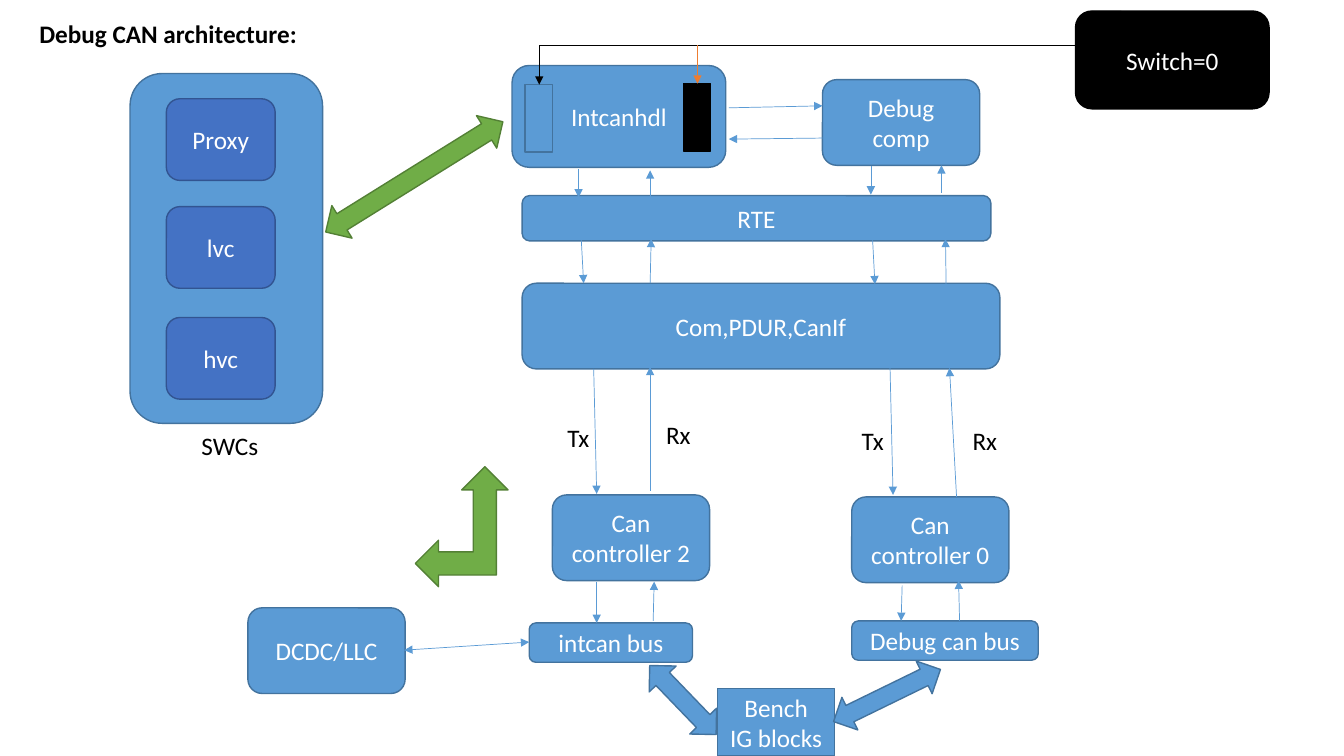
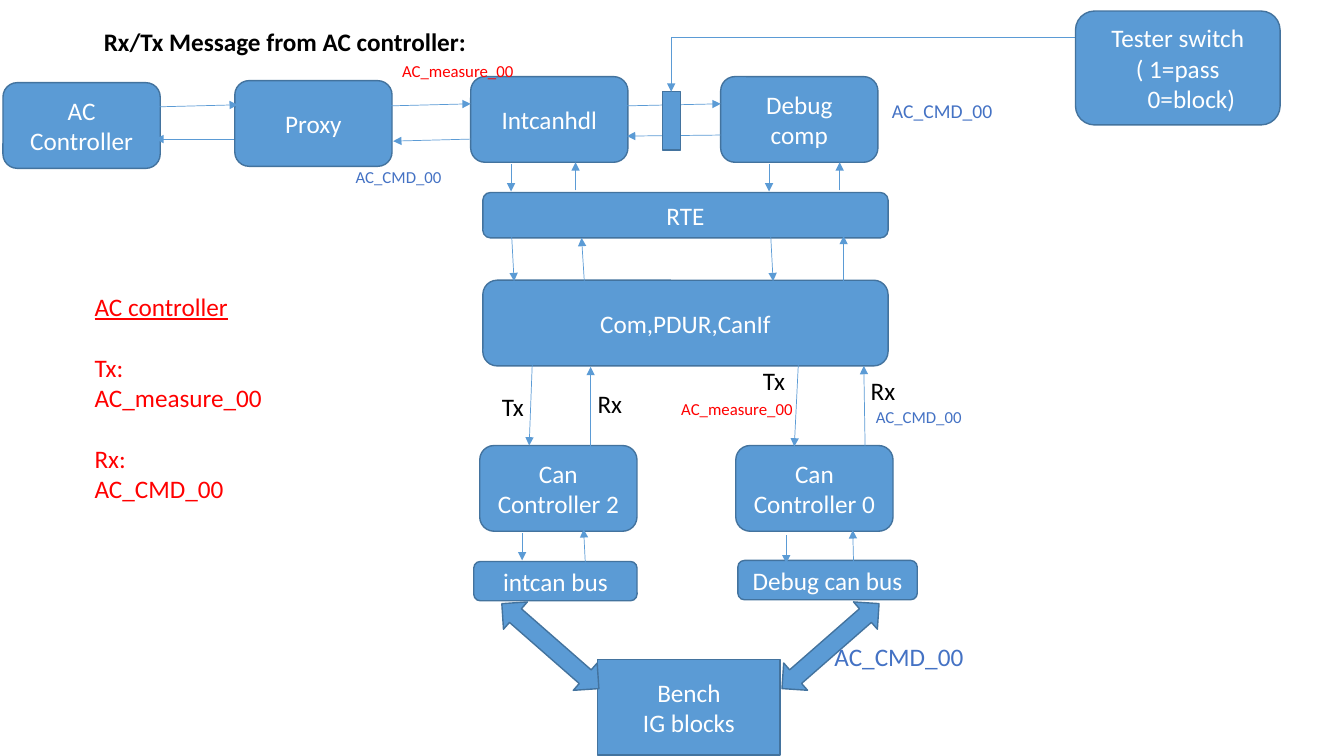
from pptx import Presentation
from pptx.dml.color import RGBColor
from pptx.enum.shapes import MSO_CONNECTOR, MSO_SHAPE
from pptx.enum.text import MSO_ANCHOR, MSO_AUTO_SIZE, PP_ALIGN
from pptx.oxml.ns import qn
from pptx.util import Emu, Pt
from lxml import etree

ROUNDED, RECTANGLE = MSO_SHAPE.ROUNDED_RECTANGLE, MSO_SHAPE.RECTANGLE
LEFT_RIGHT, UP_DOWN = MSO_SHAPE.LEFT_RIGHT_ARROW, MSO_SHAPE.UP_DOWN_ARROW
LEFT_UP = MSO_SHAPE.LEFT_UP_ARROW
STRAIGHT, ELBOW = MSO_CONNECTOR.STRAIGHT, MSO_CONNECTOR.ELBOW
LEFT, CENTER = PP_ALIGN.LEFT, PP_ALIGN.CENTER
TOP, MIDDLE = MSO_ANCHOR.TOP, MSO_ANCHOR.MIDDLE

FONT = "Calibri"
BODY_SIZE, NOTE_SIZE, SMALL_SIZE = 18, 14, 12
BLACK, WHITE, RED, ORANGE = "000000", "FFFFFF", "FF0000", "ED7D31"
SKY, ROYAL = "5B9BD5", "4472C4"
# Each style is a fill and its outline.
SKY_STYLE, ROYAL_STYLE = (SKY, "43739E"), (ROYAL, "325491")
GREEN_STYLE, BLACK_STYLE = ("70AD47", "538035"), (BLACK, BLACK)

# The slide is a grid of square cells, ten to the inch: 75 rows high.
SLIDE_WIDTH, SLIDE_HEIGHT = Emu(12192000), Emu(6858000)
CELL = SLIDE_HEIGHT / 75
BLOCK_WIDTH, BLOCK_HEIGHT = 15.6, 8.5
RTE_HEIGHT, BUS_HEIGHT, LABEL_HEIGHT = 4.5, 3.9, 4
INTCAN_BUS_WIDTH = 16.2
BENCH_TEXT = "Bench\nIG blocks"


def cells(*counts):
    return [Emu(round(count * CELL)) for count in counts]


def color(hex_string):
    return RGBColor.from_string(hex_string)


def add_span(para, text, ink, size=BODY_SIZE, bold=False, underline=False):
    span = para.add_run()
    span.text = text
    font = span.font
    font.name, font.size, font.bold = FONT, Pt(size), bold
    font.underline = underline
    font.color.rgb = color(ink)


def add_paragraphs(frame, lines, ink, size=BODY_SIZE, align=LEFT):
    for number, line in enumerate(lines):
        para = frame.add_paragraph() if number else frame.paragraphs[0]
        para.alignment = align
        add_span(para, line, ink, size)


def add_title(page, text, left, top):
    title = page.shapes.title
    title.left, title.top, title.width, title.height = cells(
        left, top, 43.4, LABEL_HEIGHT)
    frame = title.text_frame
    frame.word_wrap, frame.auto_size = True, MSO_AUTO_SIZE.NONE
    frame.vertical_anchor = TOP
    para = frame.paragraphs[0]
    para.alignment = LEFT
    add_span(para, text, BLACK, bold=True)


def add_box(page, area, text="", style=SKY_STYLE, kind=ROUNDED, turn=0):
    box = page.shapes.add_shape(kind, *cells(*area))
    box.shadow.inherit = False
    box.rotation = turn
    fill, outline = style
    box.fill.solid()
    box.fill.fore_color.rgb = color(fill)
    box.line.color.rgb = color(outline)
    box.line.width = Pt(1)
    if text:
        box.text_frame.word_wrap = True
        box.text_frame.vertical_anchor = MIDDLE
        add_paragraphs(box.text_frame, text.split("\n"), WHITE, align=CENTER)
    return box


def add_blocks(page, blocks):
    """Add boxes of the standard size from (text, left, top)."""
    for text, left, top in blocks:
        add_box(page, (left, top, BLOCK_WIDTH, BLOCK_HEIGHT), text)


def add_label(page, text, left, top, width, ink=BLACK, size=BODY_SIZE):
    label = page.shapes.add_textbox(*cells(left, top, width, LABEL_HEIGHT))
    label.text_frame.word_wrap = size > SMALL_SIZE
    add_paragraphs(label.text_frame, [text], ink, size)


def add_arrow(page, ends, ink=SKY, kind=STRAIGHT, both_ways=False):
    """Add a thin arrow; an elbow goes across first, then down."""
    arrow = page.shapes.add_connector(kind, *cells(*ends))
    arrow.line.color.rgb = color(ink)
    arrow.line.width = Pt(0.5)
    properties = arrow._element.spPr
    if kind == ELBOW:
        properties.find(qn("a:prstGeom")).set("prst", "bentConnector2")
    line = properties.find(qn("a:ln"))
    for name in ("a:headEnd", "a:tailEnd")[0 if both_ways else 1:]:
        etree.SubElement(line, qn(name), type="triangle")
    etree.SubElement(properties, qn("a:effectLst"))


def add_arrows(page, arrows):
    for ends in arrows:
        add_arrow(page, ends)


def add_message_list(page):
    box = page.shapes.add_textbox(*cells(8.4, 28.4, 19.4, 22.2))
    frame = box.text_frame
    frame.word_wrap = True
    heading = frame.paragraphs[0]
    add_span(heading, "AC controller", RED, underline=True)
    for direction, message in (("Tx:", "AC_measure_00"), ("Rx:", "AC_CMD_00")):
        para = frame.add_paragraph()
        para.space_before = Pt(22)
        add_span(para, direction, RED)
        add_span(frame.add_paragraph(), message, RED)


def build_architecture(page):
    add_title(page, "Debug CAN architecture:", 2.9, 1.3)
    add_box(page, (12.9, 7.3, 19.1, 34.7))
    for name, top in (("Proxy", 9.8), ("lvc", 20.5), ("hvc", 31.5)):
        add_box(page, (16.5, top, 10.8, 8.1), name, ROYAL_STYLE)
    add_box(page, (50.8, 6.5, 21.2, 10.1), "Intcanhdl")
    add_blocks(page, [
        ("Can controller 2", 54.8, 49.1), ("Can controller 0", 84.5, 49.3),
        ("Debug comp", 81.6, 7.9), ("DCDC/LLC", 24.6, 60.3)])
    add_box(page, (51.8, 28.1, 47.4, BLOCK_HEIGHT), "Com,PDUR,CanIf")
    add_box(page, (51.8, 19.4, 46.5, RTE_HEIGHT), "RTE")
    add_box(page, (84.5, 61.6, 18.5, BUS_HEIGHT), "Debug can bus")
    add_box(page, (52.5, 61.8, INTCAN_BUS_WIDTH, BUS_HEIGHT), "intcan bus")
    add_arrows(page, [
        (58.9, 36.6, 59.2, 49), (64.5, 48.7, 64.5, 36.4),
        (94.9, 49.3, 94.2, 36.5), (88.3, 36.5, 88.6, 49.1),
        (59.2, 57.7, 59.2, 61.8), (89.5, 58.1, 89.4, 61.6),
        (86.4, 16.5, 86.4, 19.3), (57.4, 16.8, 57.4, 19.6),
        (64.5, 19.7, 64.5, 16.9), (93.4, 19.1, 93.4, 16.4),
        (93.9, 31.1, 93.8, 23.7), (57.6, 22.5, 57.9, 28.1),
        (86.5, 22.5, 86.8, 28.2), (64.5, 28.1, 64.6, 23.7),
        (72.3, 10.7, 81.6, 10.5), (81.6, 13.7, 72.3, 13.8),
        (64.8, 61.6, 64.9, 57.7), (95.2, 61.6, 95.1, 57.6)])
    add_arrow(page, (40.1, 64.5, 52.5, 63.7), both_ways=True)

    add_box(page, (106.7, 1.1, 19.2, 9.7), "Switch=0", BLACK_STYLE)
    add_box(page, (52.1, 8.4, 2.7, 6.7), kind=RECTANGLE)
    add_box(page, (67.8, 8.3, 2.7, 6.7), style=BLACK_STYLE, kind=RECTANGLE)
    add_arrow(page, (106.7, 4.5, 53.5, 8.4), BLACK, ELBOW)
    add_arrow(page, (69.2, 4.5, 69.2, 8.3), ORANGE)

    add_box(page, (71.2, 68.3, 11.6, 6.7), BENCH_TEXT, kind=RECTANGLE)
    add_box(page, (82.1, 67.2, 11.8, 3.6), kind=LEFT_RIGHT, turn=334)
    add_box(page, (63, 67.6, 9.5, 3.7), kind=LEFT_RIGHT, turn=226.1)
    add_box(page, (39.2, 7.2, 3.8, 20.7), "", GREEN_STYLE, UP_DOWN, 58.1)
    add_box(page, (41.2, 46.3, 9.2, 11.9), "", GREEN_STYLE, LEFT_UP)
    for label in (("Rx", 95.5, 41.7, 5.6), ("Rx", 65.1, 41.1, 5.3),
                  ("Tx", 55.3, 41.4, 4.8), ("Tx", 84.5, 41.7, 4.8),
                  ("SWCs", 19, 42.2, 16.5)):
        add_label(page, *label)


def build_messages(page):
    add_title(page, "Rx/Tx Message from AC controller:", 9.3, 2.1)
    add_blocks(page, [
        ("AC Controller", 0.3, 8.2), ("Proxy", 23.3, 8),
        ("Intcanhdl", 46.7, 7.6), ("Debug comp", 71.5, 7.6),
        ("Can Controller 2", 47.6, 44.2), ("Can Controller 0", 73, 44.2)])
    for name, top, height in (("Com,PDUR,CanIf", 27.8, BLOCK_HEIGHT),
                              ("RTE", 19.1, RTE_HEIGHT)):
        add_box(page, (47.9, top, 40.2, height), name)
    add_box(page, (73.2, 55.6, 17.8, BUS_HEIGHT), "Debug can bus")
    add_box(page, (47, 55.7, INTCAN_BUS_WIDTH, BUS_HEIGHT), "intcan bus")
    add_arrows(page, [
        (52.8, 36.2, 52.5, 44.2), (58.6, 48.7, 58.6, 36.4),
        (85.9, 48.9, 85.7, 36.3), (79.2, 36.2, 78.8, 44.3),
        (51.8, 52.9, 51.8, 55.6), (78, 53.1, 78, 55.9),
        (76.3, 16.3, 76.3, 19), (50.7, 16.3, 50.7, 19),
        (57.1, 18.9, 57.1, 16.1), (83.3, 18.9, 83.3, 16.1),
        (83.7, 30.8, 83.7, 23.4), (50.7, 22.2, 51, 27.9),
        (76.4, 22.2, 76.7, 27.9), (58, 28.4, 57.7, 23.6),
        (62.2, 10.5, 71.5, 10.3), (71.5, 13.4, 62.2, 13.5),
        (58.1, 56.5, 57.9, 52.5), (84.7, 56.6, 84.6, 52.6),
        (38.8, 10.5, 46.7, 10.3), (46.7, 13.8, 39, 14),
        (23.2, 13.8, 15.4, 13.8), (15.7, 10.6, 23.6, 10.4)])

    add_box(page, (65.7, 9.1, 1.8, 5.8), kind=RECTANGLE)
    add_arrow(page, (107.9, 3.7, 66.6, 9.1), kind=ELBOW)
    switch = add_box(page, (106.7, 1.1, 20.3, 11.3),
                     "Tester switch\n( 1=pass\n0=block)")
    last_line = switch.text_frame.paragraphs[-1]
    last_line._p.get_or_add_pPr().set("marL", str(cells(2.7)[0]))

    add_box(page, (59.3, 65.4, 18.1, 9.5), BENCH_TEXT, kind=RECTANGLE)
    for left, turn in ((76, 318.8), (48.2, 221.2)):
        add_box(page, (left, 62.3, 12.8, 3.6), kind=LEFT_RIGHT, turn=turn)
    for label in (("Rx", 85.4, 36.7, 5.6), ("Rx", 58.3, 38, 5.3),
                  ("Tx", 48.8, 38.3, 4.8), ("Tx", 74.7, 35.8, 4.8),
                  ("AC_CMD_00", 81.8, 63.1, 16.8, ROYAL),
                  ("AC_CMD_00", 87.5, 9.3, 15, ROYAL, NOTE_SIZE)):
        add_label(page, *label)
    for left, top in ((85.9, 39.9), (34.3, 16.1)):
        add_label(page, "AC_CMD_00", left, top, 10.6, ROYAL, SMALL_SIZE)
    for left, top in ((66.6, 39.1), (38.9, 5.5)):
        add_label(page, "AC_measure_00", left, top, 13.2, RED, SMALL_SIZE)
    add_message_list(page)


def main():
    deck = Presentation()
    deck.slide_width, deck.slide_height = SLIDE_WIDTH, SLIDE_HEIGHT
    title_only = deck.slide_layouts.get_by_name("Title Only")
    for build in (build_architecture, build_messages):
        build(deck.slides.add_slide(title_only))
    deck.save("out.pptx")


if __name__ == "__main__":
    main()
